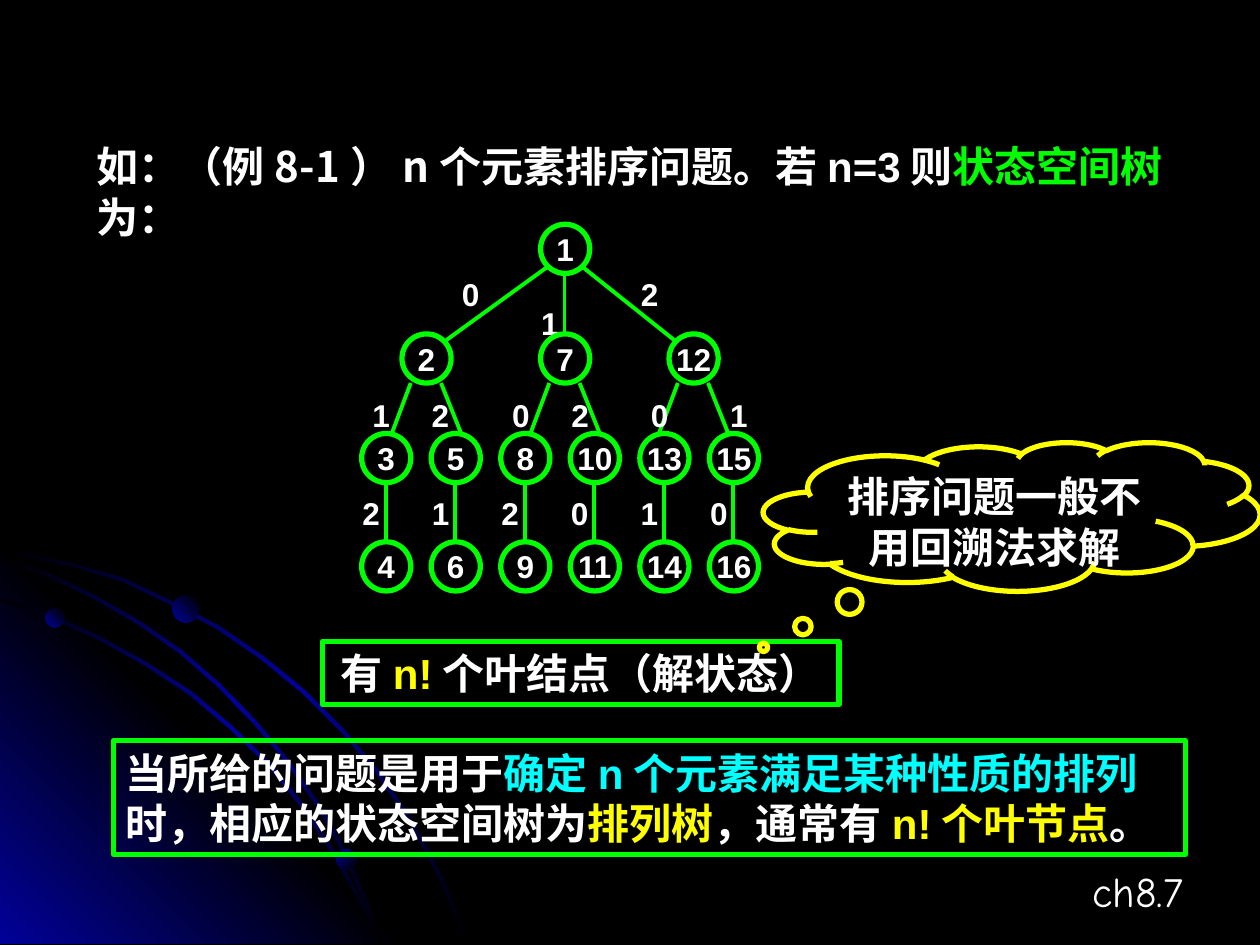
import pptx
import pptx.util
import pptx.dml.color
import pptx.enum.shapes
import pptx.enum.text
import pptx.oxml
import pptx.oxml.ns
import lxml.etree

Inches = pptx.util.Inches
Pt = pptx.util.Pt
RGB = pptx.dml.color.RGBColor.from_string
SHAPE = pptx.enum.shapes.MSO_SHAPE
ALIGN = pptx.enum.text.PP_ALIGN
ANCHOR = pptx.enum.text.MSO_ANCHOR

COLORS = {
    "black": "000000", "white": "FFFFFF", "green": "00FF00",
    "yellow": "FFFF00", "cyan": "00FFFF", "navy": "010199",
}


def write(shape, spans, size=24, align=ALIGN.LEFT, anchor=ANCHOR.TOP, wrap=True, margins=(0.1, 0.05)):
    frame = shape.text_frame
    frame.word_wrap = wrap
    frame.vertical_anchor = anchor
    frame.margin_left = frame.margin_right = Inches(margins[0])
    frame.margin_top = frame.margin_bottom = Inches(margins[1])
    para = frame.paragraphs[0]
    para.alignment = align
    for text, color, font in spans:
        span = para.add_run()
        span.text = text
        span.font.size = Pt(size)
        span.font.name = font
        span.font.bold = font != "Comic Neue"
        span.font.color.rgb = RGB(COLORS[color])


def paint(shape, fill=None, line=None, gradient=(), angle=0):
    shape.shadow.inherit = False
    if fill:
        shape.fill.solid()
        shape.fill.fore_color.rgb = RGB(COLORS[fill])
    else:
        shape.fill.background()
    if line:
        shape.line.color.rgb = RGB(COLORS[line])
        shape.line.width = Pt(3)
    else:
        shape.line.fill.background()
    if gradient:
        step = 100000 // (len(gradient) - 1)
        stops = "".join(
            f'<a:gs pos="{index * step}"><a:srgbClr val="{COLORS[name]}"/></a:gs>'
            for index, name in enumerate(gradient))
        element = pptx.oxml.parse_xml(
            f'<a:gradFill {pptx.oxml.ns.nsdecls("a")}><a:gsLst>{stops}</a:gsLst>'
            f'<a:lin ang="{angle * 60000}" scaled="0"/></a:gradFill>')
        properties = shape._element.spPr
        properties.replace(properties.find(pptx.oxml.ns.qn("a:noFill")), element)


deck = pptx.Presentation()
deck.slide_width = Inches(10)
deck.slide_height = Inches(7.5)
page = deck.slides.add_slide(deck.slide_layouts[6])
page.background.fill.solid()
page.background.fill.fore_color.rgb = RGB(COLORS["black"])
shapes = page.shapes

orbits = [
    [(0, 4.35), (0.28, 4.41), (0.57, 4.47), (0.98, 4.59), (1.36, 4.77), (1.74, 4.97),
     (2.09, 5.21), (2.42, 5.48), (2.72, 5.78), (3, 6.11), (3.25, 6.48), (3.39, 6.73),
     (3.52, 6.98), (3.62, 7.23), (3.72, 7.49)],
    [(0, 4.75), (0.41, 4.88), (0.79, 5.05), (1.17, 5.26), (1.52, 5.49), (1.84, 5.76),
     (2.15, 6.06), (2.42, 6.4), (2.66, 6.76), (2.86, 7.12), (2.96, 7.3), (3.03, 7.49)],
    [(0, 4.42), (0.39, 4.55), (0.76, 4.73), (1.11, 4.93), (1.44, 5.16), (1.75, 5.43),
     (2.04, 5.73), (2.29, 6.03), (2.54, 6.39), (2.69, 6.65), (2.82, 6.93), (2.94, 7.2),
     (3.03, 7.49)],
]
bands = [edge + [(max(x - 0.02, 0), min(y + 0.02, 7.49)) for x, y in reversed(edge)] for edge in orbits]
glow = [(0, 4.27), (3.22, 7.49), (0, 7.49)]
fade = ("black", "navy", "black")
for outline, gradient, angle in [
    (bands[0], fade, 45), (glow, ("navy", "black", "navy"), 315),
    (bands[1], fade, 45), (bands[2], fade, 45),
]:
    points = [(Inches(x), Inches(y)) for x, y in outline]
    builder = shapes.build_freeform(*points[0])
    builder.add_line_segments(points[1:], close=True)
    paint(builder.convert_to_shape(), gradient=gradient, angle=angle)

for left, top, size, angle in [(0.36, 4.83, 0.15, 315), (2.67, 6.74, 0.16, 45), (1.37, 4.73, 0.21, 315)]:
    planet = shapes.add_shape(SHAPE.OVAL, Inches(left), Inches(top), Inches(size), Inches(size))
    paint(planet, gradient=("navy", "black"), angle=angle)

page_number = shapes.add_textbox(Inches(7.13), Inches(6.82), Inches(2.36), Inches(0.5))
write(page_number, [("ch8.7", "white", "Comic Neue")], align=ALIGN.RIGHT)

leaf_note = shapes.add_shape(SHAPE.RECTANGLE, Inches(2.56), Inches(5.09), Inches(4.1), Inches(0.5))
paint(leaf_note, line="green")
write(leaf_note, [("有", "white", "Arial"), ("n!", "yellow", "Arial"),
                  ("个叶结点（解状态）", "white", "Arial")], align=ALIGN.CENTER)

node_size = 0.39
branch_lefts = [3.19, 4.29, 5.31]
leaf_lefts = [2.87 + 0.552 * index for index in range(6)]

edges = [(4.37, 2.1, 3.5, 2.73), (4.6, 2.1, 5.39, 2.73), (4.48, 2.18, 4.48, 2.73)]
for left in branch_lefts:
    edges.append((left + 0.07, 3.04, left - 0.08, 3.44))
    edges.append((left + 0.31, 3.04, left + 0.47, 3.44))
for left in leaf_lefts:
    edges.append((left + 0.19, 3.83, left + 0.19, 4.3))
for edge in edges:
    branch = shapes.add_connector(pptx.enum.shapes.MSO_CONNECTOR.STRAIGHT, *map(Inches, edge))
    branch.line.color.rgb = RGB(COLORS["green"])
    branch.line.width = Pt(2.25)
    lxml.etree.SubElement(branch._element.spPr, pptx.oxml.ns.qn("a:effectLst"))

labels = [(3.58, 2.18, "0"), (4.21, 2.41, "1"), (5, 2.18, "2")]
labels += [(left, 3.14, text) for left, text in zip([2.87, 3.34, 3.98, 4.45, 5.08, 5.71], "120201")]
labels += [(left - 0.08, 3.92, text) for left, text in zip(leaf_lefts, "212010")]
for left, top, text in labels:
    label = shapes.add_textbox(Inches(left), Inches(top), Inches(0.31), Inches(0.3))
    write(label, [(text, "white", "Arial")], size=18, align=ALIGN.CENTER, margins=(0, 0))

for top, lefts, numbers in [
    (1.78, [4.29], [1]),
    (2.65, branch_lefts, [2, 7, 12]),
    (3.44, leaf_lefts, [3, 5, 8, 10, 13, 15]),
    (4.3, leaf_lefts, [4, 6, 9, 11, 14, 16]),
]:
    for left, number in zip(lefts, numbers):
        node = shapes.add_shape(SHAPE.OVAL, Inches(left), Inches(top), Inches(node_size), Inches(node_size))
        paint(node, fill="black", line="green")
        write(node, [(str(number), "white", "Arial")], size=18, align=ALIGN.CENTER,
              anchor=ANCHOR.MIDDLE, wrap=False)

heading = shapes.add_textbox(Inches(0.67), Inches(1.07), Inches(8.74), Inches(0.9))
write(heading, [("如：（例8-1）n个元素排序问题。", "white", "Noto Sans CJK SC"),
                ("若n=3则", "white", "Arial"), ("状态空间树", "green", "Arial"),
                ("为：", "white", "Arial")])

cloud = shapes.add_shape(SHAPE.CLOUD_CALLOUT, Inches(6.06), Inches(3.51), Inches(3.94), Inches(1.18))
cloud.adjustments[0] = -0.5
cloud.adjustments[1] = 0.88
paint(cloud, fill="black", line="yellow")
write(cloud, [("排序问题一般不用回溯法求解", "white", "Arial")], align=ALIGN.CENTER)

summary = shapes.add_shape(SHAPE.RECTANGLE, Inches(0.9), Inches(5.88), Inches(8.51), Inches(0.9))
paint(summary, line="green")
write(summary, [("当所给的问题是用于", "white", "Arial"), ("确定n个元素满足某种性质的排列", "cyan", "Arial"),
                ("时，相应的状态空间树为", "white", "Arial"), ("排列树", "yellow", "Arial"),
                ("，通常有", "white", "Arial"), ("n!个叶节点", "yellow", "Arial"),
                ("。", "white", "Arial")])

deck.save("out.pptx")
